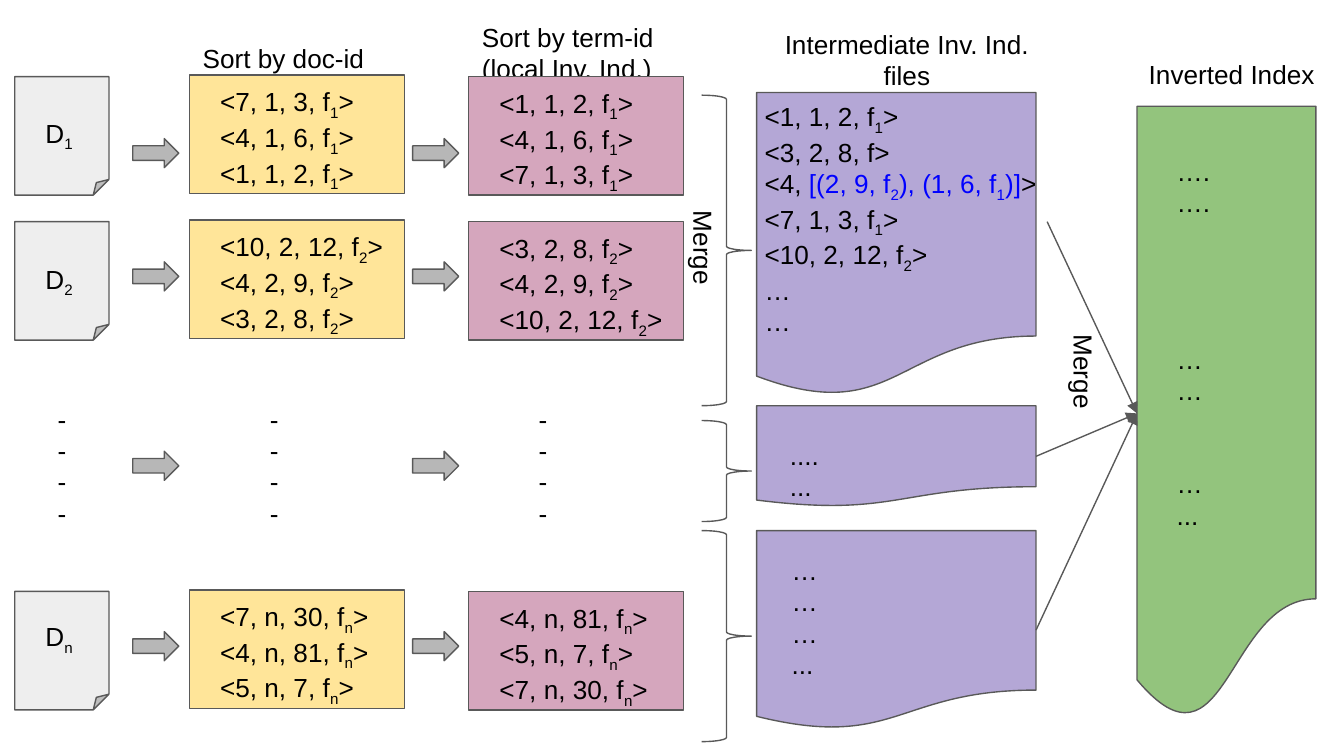
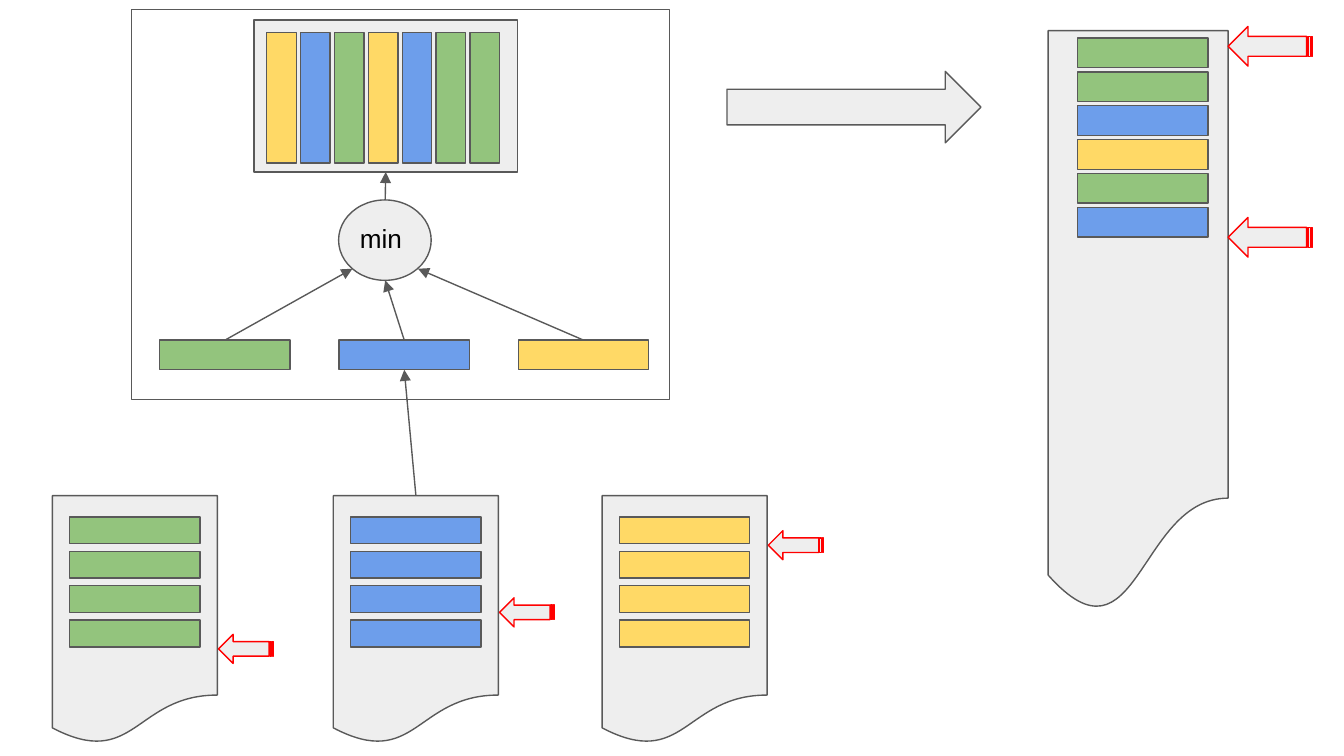
from lxml import etree
from pptx import Presentation
from pptx.dml.color import RGBColor
from pptx.enum.shapes import MSO_CONNECTOR as LINK, MSO_SHAPE as SHAPE
from pptx.enum.text import PP_ALIGN as ALIGN
from pptx.oxml.ns import qn
from pptx.util import Cm, Pt

INK, EDGE, PALE, GREY = "000000", "595959", "EEEEEE", "B7B7B7"
CREAM, PINK, LILAC = "FFE599", "D5A6BD", "B4A7D6"
GREEN, BLUE, GOLD = "93C47D", "6D9EEB", "FFD966"
RED, MARK = "FF0000", "0000FF"
STEP = 0.64  # pitch of merged bars
BAR = (2.46, 0.56)


def rgb(code):
    return RGBColor.from_string(code)


def draw(slide, kind, x, y, w, h, fill=None, edge=EDGE, turn=0):
    shape = slide.shapes.add_shape(kind, Cm(x), Cm(y), Cm(w), Cm(h))
    shape.shadow.inherit = False
    if fill:
        shape.fill.solid()
        shape.fill.fore_color.rgb = rgb(fill)
    else:
        shape.fill.background()
    shape.line.color.rgb = rgb(edge)
    shape.line.width = Pt(0.75)
    shape.rotation = turn
    return shape


def put(para, text, color=None, low=False):
    if not text:
        return
    run = para.add_run()
    run.text = text
    if color:
        run.font.color.rgb = rgb(color)
    if low:
        run._r.get_or_add_rPr().set("baseline", "-25000")


def write(slide, x, y, w, h, lines, align=ALIGN.LEFT, turn=0, gaps=None):
    """Write lines; _ lowers the next letter, | starts or ends marked text."""
    box = slide.shapes.add_textbox(Cm(x), Cm(y), Cm(w), Cm(h))
    box.rotation = turn
    frame = box.text_frame
    frame.word_wrap = True
    frame.margin_left = frame.margin_right = Cm(0.25)
    frame.margin_top = frame.margin_bottom = Cm(0.25)
    for i, line in enumerate(lines):
        para = frame.paragraphs[0] if i == 0 else frame.add_paragraph()
        para.alignment = align
        para.font.name, para.font.size = "Arial", Pt(14)
        para.font.color.rgb = rgb(INK)
        if gaps and i in gaps:
            para.space_before = Pt(gaps[i])
        for j, part in enumerate(line.split("|")):
            color = MARK if j % 2 else None
            first, *rest = part.split("_")
            put(para, first, color)
            for piece in rest:
                put(para, piece[0], color, low=True)
                put(para, piece[1:], color)


def link(slide, start, end, source=None, target=None):
    """Draw an arrow; source and target are (shape, side) pairs."""
    line = slide.shapes.add_connector(LINK.STRAIGHT, *map(Cm, start + end))
    if source:
        line.begin_connect(*source)
    if target:
        line.end_connect(*target)
    line.line.color.rgb = rgb(EDGE)
    line.line.width = Pt(0.75)
    tip = etree.SubElement(line.line._get_or_add_ln(), qn("a:tailEnd"))
    tip.set("type", "triangle")
    etree.SubElement(line._element.spPr, qn("a:effectLst"))


def steps(slide, y):
    for x in (2.51, 7.8):
        draw(slide, SHAPE.RIGHT_ARROW, x, y, 0.87, 0.55, GREY)


def row(slide, y, name, drop, step, by_doc, by_term):
    draw(slide, SHAPE.FOLDED_CORNER, 0.28, y, 1.78, 2.24, PALE)
    write(slide, 0.61, y + drop, 1.2, 1.14, [name])
    cards = ((3.58, y - 0.03, CREAM, by_doc), (8.86, y, PINK, by_term))
    for x, top, fill, lines in cards:
        draw(slide, SHAPE.FLOWCHART_PROCESS, x, top, 4.06, 2.24, fill)
        write(slide, x + 0.33, top - 0.05, 4.06, 2.1, lines)
    steps(slide, step)


def file(slide, y, h, dx, dy, lines, brace, span):
    draw(slide, SHAPE.RIGHT_BRACE, 13.26, brace, 0.94, span)
    page = draw(slide, SHAPE.FLOWCHART_DOCUMENT, 14.3, y, 5.28, h, LILAC)
    write(slide, 14.3 + dx, y + dy, 5.87, h - 0.66, lines)
    return page


def heads(slide):
    for x, y, w, lines, align in (
        (3.58, 0.56, 4.06, ["Sort by doc-id"], ALIGN.LEFT),
        (8.86, 0.15, 4.06, ["Sort by term-id", "(local Inv. Ind.)"], ALIGN.LEFT),
        (14.5, 0.28, 5.28, ["Intermediate Inv. Ind.", "files"], ALIGN.CENTER),
        (21.46, 0.86, 3.71, ["Inverted Index"], ALIGN.LEFT),
    ):
        write(slide, x, y, w, 0.56, lines, align)


def index(slide, x, y):
    page = draw(slide, SHAPE.FLOWCHART_DOCUMENT, x, y, 3.38, 11.61, GREEN)
    lines = ["….", "….", "…", "…", "…", "..."]
    write(slide, x + 0.5, y + 0.68, 2.11, 8.64, lines, gaps={2: 67, 4: 33})
    return page


def sorting(slide):
    heads(slide)
    for item in (
        (1.45, "D_1", 0.51, 2.62,
         ["<7, 1, 3, f_1>", "<4, 1, 6, f_1>", "<1, 1, 2, f_1>"],
         ["<1, 1, 2, f_1>", "<4, 1, 6, f_1>", "<7, 1, 3, f_1>"]),
        (4.19, "D_2", 0.53, 4.95,
         ["<10, 2, 12, f_2>", "<4, 2, 9, f_2>", "<3, 2, 8, f_2>"],
         ["<3, 2, 8, f_2>", "<4, 2, 9, f_2>", "<10, 2, 12, f_2>"]),
        (11.18, "D_n", 0.3, 11.94,
         ["<7, n, 30, f_n>", "<4, n, 81, f_n>", "<5, n, 7, f_n>"],
         ["<4, n, 81, f_n>", "<5, n, 7, f_n>", "<7, n, 30, f_n>"]),
    ):
        row(slide, *item)
    steps(slide, 8.53)
    for x in (0.84, 4.85, 9.93):
        write(slide, x, 7.37, 2.87, 3.2, ["-"] * 4)

    merged = ["<1, 1, 2, f_1>", "<3, 2, 8, f>",
              "<4, |[(2, 9, f_2), (1, 6, f_1)]|>",
              "<7, 1, 3, f_1>", "<10, 2, 12, f_2>", "…", "…"]
    file(slide, 1.75, 5.74, -0.1, -0.1, merged, 1.8, 5.87)
    pages = [
        file(slide, 7.67, 1.91, 0.38, 0.38, ["....", "..."], 7.95, 1.91),
        file(slide, 10.03, 3.76, 0.41, 0.2, ["…", "…", "…", "..."], 10.03, 3.99),
    ]
    goal = index(slide, 21.49, 2.01)
    end = (21.49, 7.81)
    link(slide, (19.79, 4.19), end, target=(goal, 1))
    for page in pages:
        link(slide, end, end, (page, 3), (goal, 1))
    for x, y in ((11.71, 5.31), (18.9, 7.65)):
        write(slide, x, y, 3.71, 0.56, ["Merge"], turn=90)


def pointer(slide, x, y, w, h):
    draw(slide, SHAPE.STRIPED_RIGHT_ARROW, x, y, w, h, PALE, RED, 180)


def stack(slide, x, y, fill, mark):
    page = draw(slide, SHAPE.FLOWCHART_DOCUMENT, x, y, 3.12, 4.7, PALE)
    for i in range(4):
        draw(slide, SHAPE.RECTANGLE, x + 0.33, y + 0.4 + 0.65 * i, 2.46, 0.51, fill)
    pointer(slide, x + 3.14, y + mark, 1.04, 0.55)
    return page


def memory(slide, x, y):
    """Draw the merge panel and return its middle input bar."""
    draw(slide, SHAPE.RECTANGLE, x, y, 10.16, 7.37)
    pane = draw(slide, SHAPE.RECTANGLE, x + 2.31, y + 0.2, 4.98, 2.87, PALE)
    for i, fill in enumerate((GOLD, BLUE, GREEN, GOLD, BLUE, GREEN, GREEN)):
        draw(slide, SHAPE.RECTANGLE, x + 1.6 + STEP * i, y + 1.39, *BAR, fill, turn=90)
    draw(slide, SHAPE.OVAL, x + 3.91, y + 3.6, 1.75, 1.52, PALE)
    write(slide, x + 4.06, y + 3.78, 1.7, 0.97, ["min"])
    top = (x + 4.79, y + 3.6)
    link(slide, top, top, target=(pane, 2))
    bars = []
    tips = ((4.17, 4.9), (4.79, 5.12), (5.41, 4.9))
    for i, (fill, (dx, dy)) in enumerate(zip((GREEN, BLUE, GOLD), tips)):
        bar = draw(slide, SHAPE.RECTANGLE, x + 0.53 + 3.39 * i, y + 6.25, *BAR, fill)
        tip = (x + dx, y + dy)
        link(slide, tip, tip, source=(bar, 0))
        bars.append(bar)
    return bars[1]


def result(slide, x, y):
    draw(slide, SHAPE.FLOWCHART_DOCUMENT, x, y, 3.4, 11.02, PALE)
    for i, fill in enumerate((GREEN, GREEN, BLUE, GOLD, GREEN, BLUE)):
        draw(slide, SHAPE.RECTANGLE, x + 0.56, y + 0.14 + STEP * i, *BAR, fill)
    for dy in (-0.08, 3.53):
        pointer(slide, x + 3.4, y + dy, 1.6, 0.75)


def merging(slide):
    y = 9.37
    stack(slide, 0.99, y, GREEN, 2.62)
    page = stack(slide, 6.3, y, BLUE, 1.93)
    stack(slide, 11.38, y, GOLD, 0.66)
    bar = memory(slide, 2.49, 0.18)
    link(slide, (7.86, y), (7.86, y), (page, 0), (bar, 2))
    draw(slide, SHAPE.RIGHT_ARROW, 13.74, 1.35, 4.8, 1.35, PALE)
    result(slide, 19.81, 0.58)


def main():
    deck = Presentation()
    deck.slide_width, deck.slide_height = Cm(25.4), Cm(14.29)
    blank = deck.slide_layouts[6]
    for build in (sorting, merging):
        build(deck.slides.add_slide(blank))
    deck.save("out.pptx")


if __name__ == "__main__":
    main()
